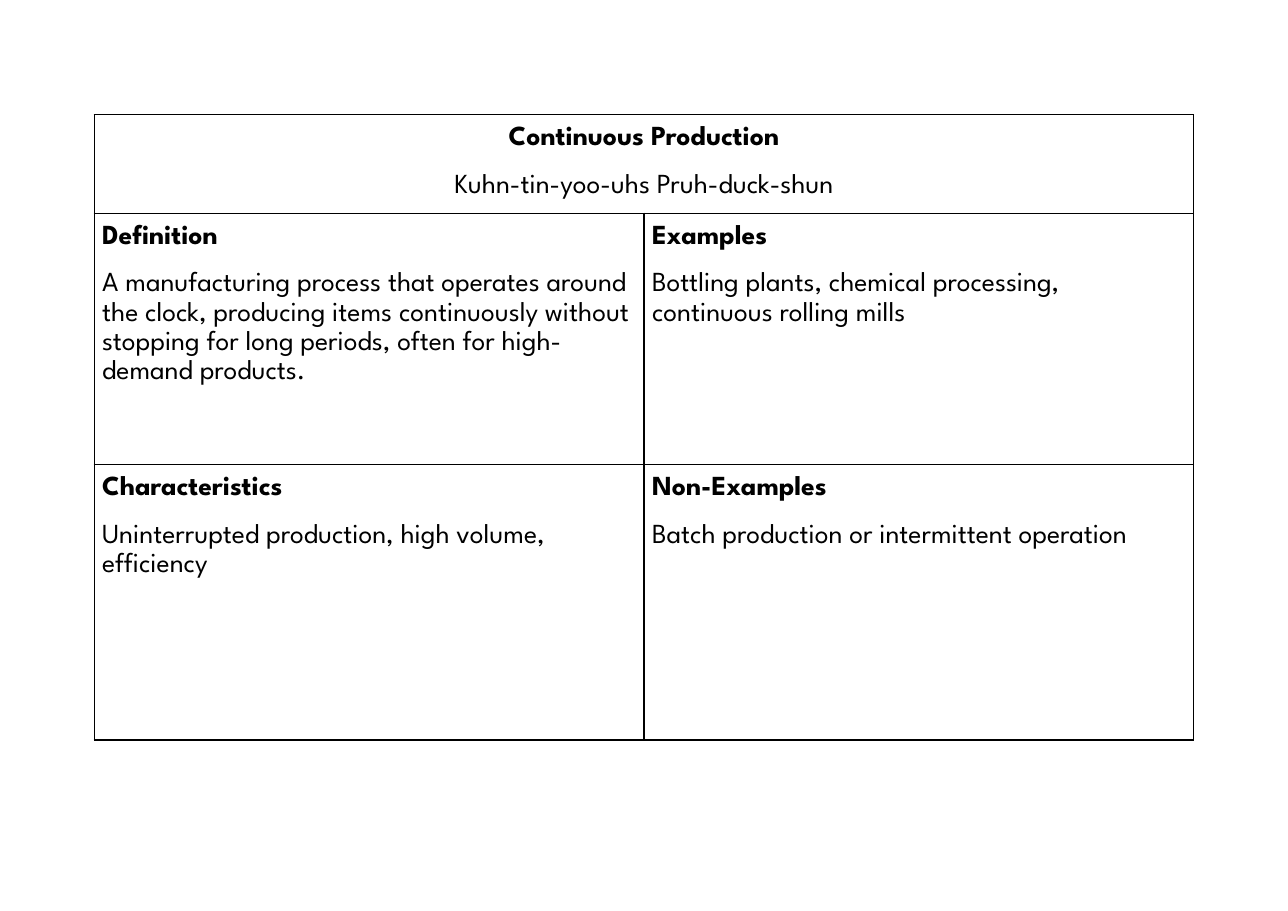
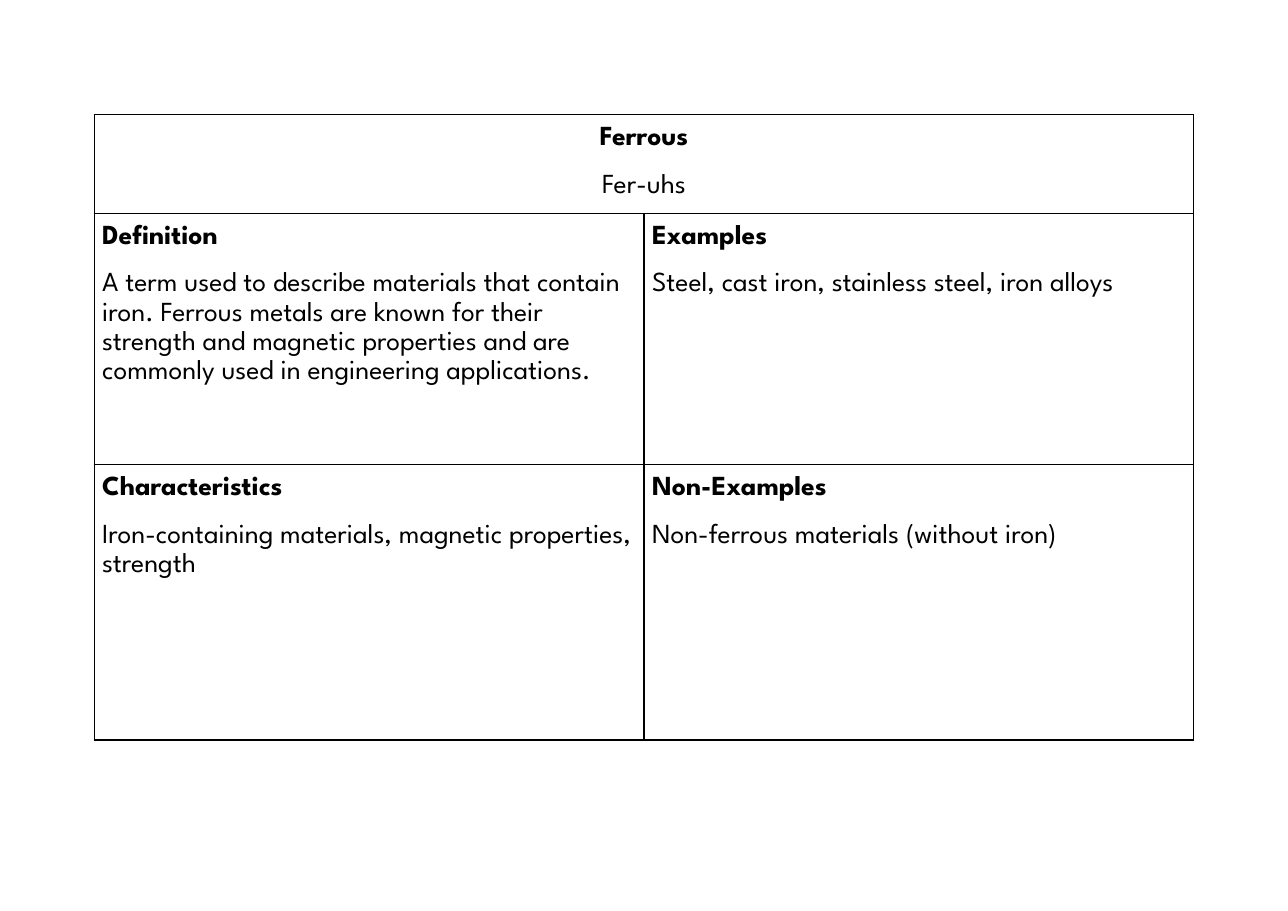
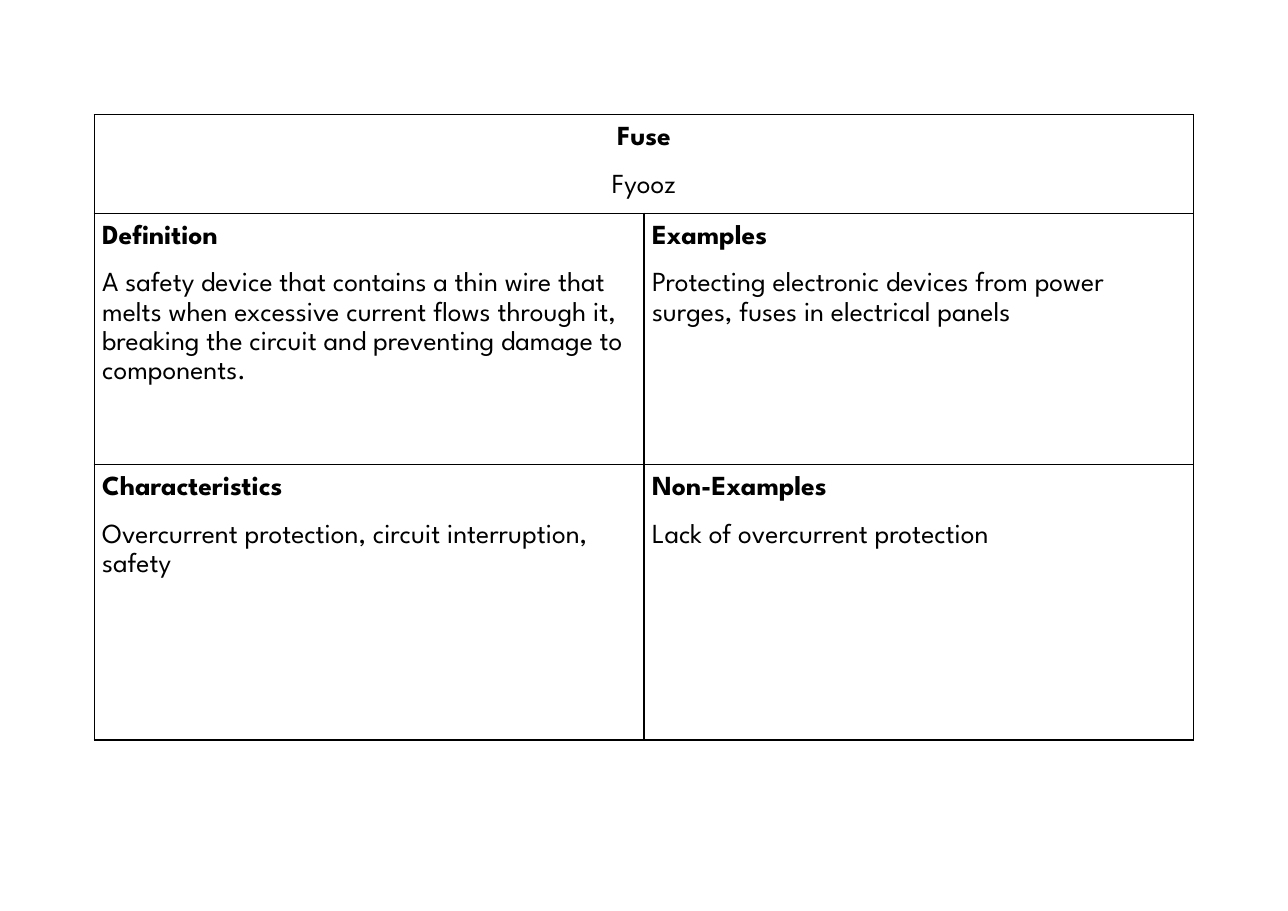
from dataclasses import dataclass

from lxml.etree import SubElement
from pptx import Presentation
from pptx.dml.color import RGBColor
from pptx.enum.text import PP_ALIGN
from pptx.oxml import parse_xml
from pptx.oxml.ns import nsdecls, qn
from pptx.util import Pt

PX = 9525  # EMU per px, 96 px to the inch


def px(length):
    return length * PX


@dataclass(frozen=True)
class Theme:
    font: str = "League Spartan"
    ink: str = "000000"
    text_size: int = 18
    line_spacing: float = 1.15
    gap: int = 12  # points between paragraphs
    border: int = 1  # points
    inset: int = 7  # px


THEME = Theme()
SLIDE_SIZE = (1122, 794)
CARD_BOX = (82, 100, 958, 545)  # left, top, width, height
TERM_HEIGHT = 86
UPPER_HEIGHT = 219

# Heading of each quadrant, by row
HEADINGS = (("Definition", "Examples"), ("Characteristics", "Non-Examples"))

# Term, pronunciation, and quadrant texts in the order of HEADINGS
CARDS = (
    ("Continuous Production", "Kuhn-tin-yoo-uhs Pruh-duck-shun",
     (("A manufacturing process that operates around the clock, producing "
       "items continuously without stopping for long periods, often for "
       "high-demand products.",
       "Bottling plants, chemical processing, continuous rolling mills"),
      ("Uninterrupted production, high volume, efficiency",
       "Batch production or intermittent operation"))),
    ("Ferrous", "Fer-uhs",
     (("A term used to describe materials that contain iron. Ferrous metals "
       "are known for their strength and magnetic properties and are commonly "
       "used in engineering applications.",
       "Steel, cast iron, stainless steel, iron alloys"),
      ("Iron-containing materials, magnetic properties, strength",
       "Non-ferrous materials (without iron)"))),
    ("Fuse", "Fyooz",
     (("A safety device that contains a thin wire that melts when excessive "
       "current flows through it, breaking the circuit and preventing damage "
       "to components.",
       "Protecting electronic devices from power surges, fuses in electrical "
       "panels"),
      ("Overcurrent protection, circuit interruption, safety",
       "Lack of overcurrent protection"))),
)


def style_cell(cell):
    """Clear the fill, set the insets and draw all four borders."""
    cell.fill.background()
    cell.margin_left = cell.margin_right = px(THEME.inset)
    cell.margin_top = cell.margin_bottom = px(THEME.inset)
    properties = cell._tc.get_or_add_tcPr()
    for position, side in enumerate("LRTB"):
        border = parse_xml(f'<a:ln{side} {nsdecls("a")} w="{Pt(THEME.border)}"/>')
        ink = SubElement(SubElement(border, qn("a:solidFill")), qn("a:srgbClr"))
        ink.set("val", THEME.ink)
        properties.insert(position, border)


def add_text(paragraph, text, bold, align):
    paragraph.alignment = align
    paragraph.line_spacing = THEME.line_spacing
    run = paragraph.add_run()
    run.text = text
    run.font.name = THEME.font
    run.font.size = Pt(THEME.text_size)
    run.font.bold = bold
    run.font.color.rgb = RGBColor.from_string(THEME.ink)


def write_entry(cell, heading, body, align=PP_ALIGN.LEFT):
    """Write a bold heading with body text below it."""
    frame = cell.text_frame
    add_text(frame.paragraphs[0], heading, True, align)
    detail = frame.add_paragraph()
    add_text(detail, body, False, align)
    detail.space_before = Pt(THEME.gap)
    return detail


def add_card(slide, box, term, pronunciation, quadrants):
    """Place a vocabulary card: a term band above four quadrants."""
    left, top, width, height = box
    card = slide.shapes.add_table(
        3, 2, px(left), px(top), px(width), px(height)).table
    card.first_row = card.horz_banding = False
    for column in card.columns:
        column.width = px(width // 2)
    heights = (TERM_HEIGHT, UPPER_HEIGHT, height - TERM_HEIGHT - UPPER_HEIGHT)
    for row, row_height in zip(card.rows, heights):
        row.height = px(row_height)
    for cell in card.iter_cells():
        style_cell(cell)

    # Term band
    band = card.cell(0, 0)
    band.merge(card.cell(0, 1))
    spoken = write_entry(band, term, pronunciation, PP_ALIGN.CENTER)
    spoken.space_after = Pt(THEME.gap)

    # Quadrants
    for row, (headings, bodies) in enumerate(zip(HEADINGS, quadrants), 1):
        for column, (heading, body) in enumerate(zip(headings, bodies)):
            write_entry(card.cell(row, column), heading, body)


def main():
    deck = Presentation()
    deck.slide_width, deck.slide_height = map(px, SLIDE_SIZE)
    blank = deck.slide_layouts[6]
    for term, pronunciation, quadrants in CARDS:
        add_card(deck.slides.add_slide(blank), CARD_BOX,
                 term, pronunciation, quadrants)
    deck.save("out.pptx")


if __name__ == "__main__":
    main()
